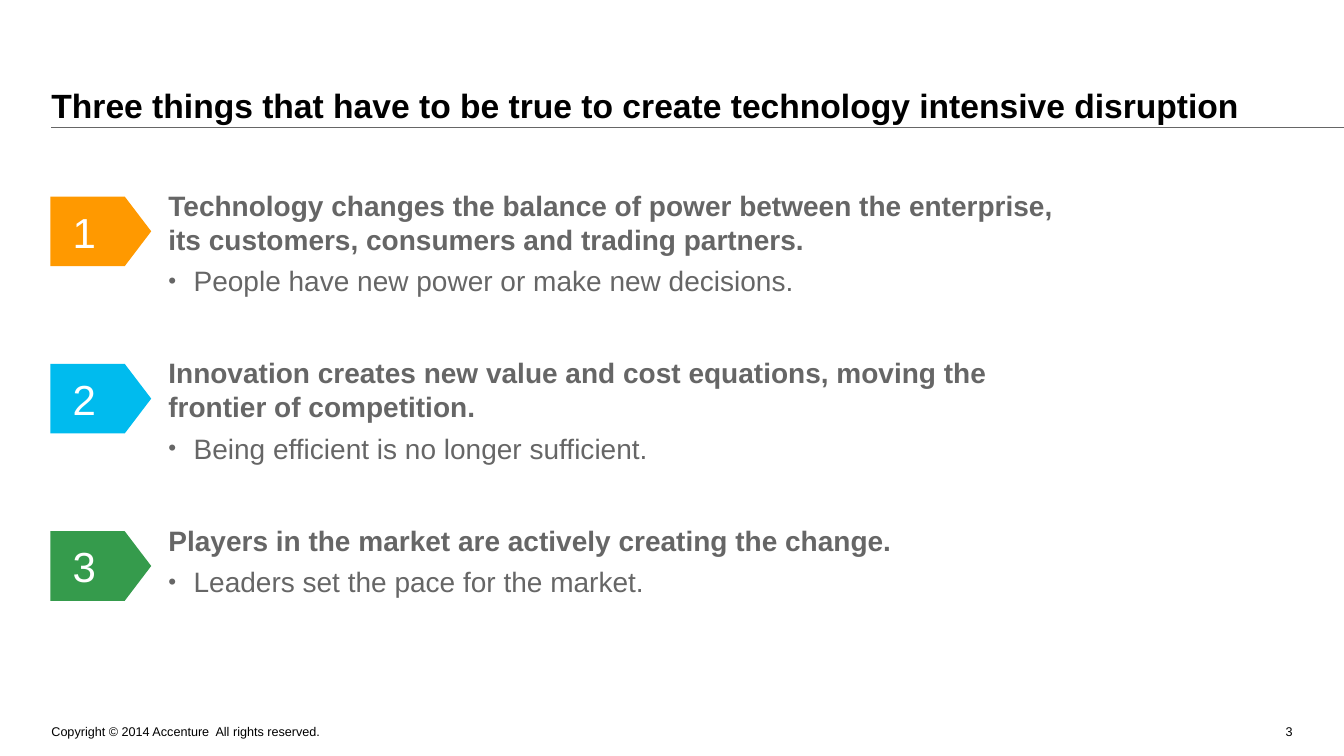
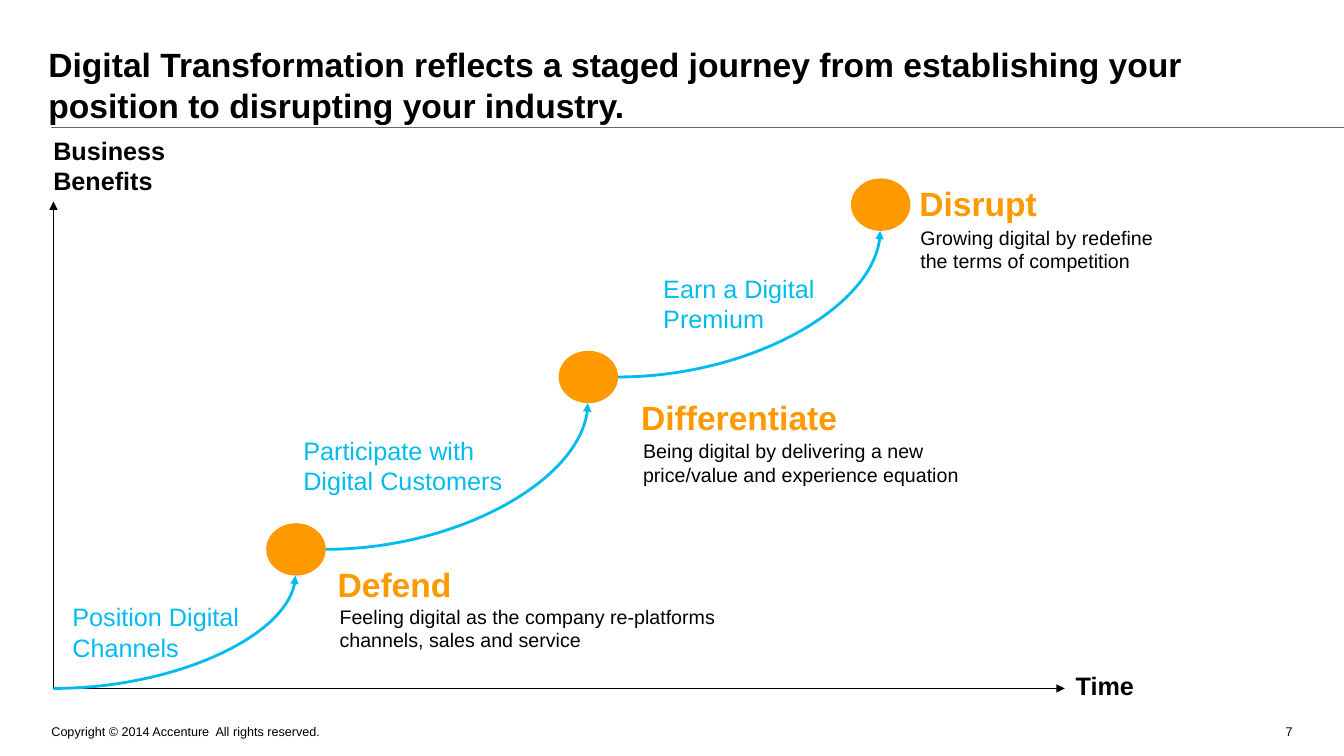
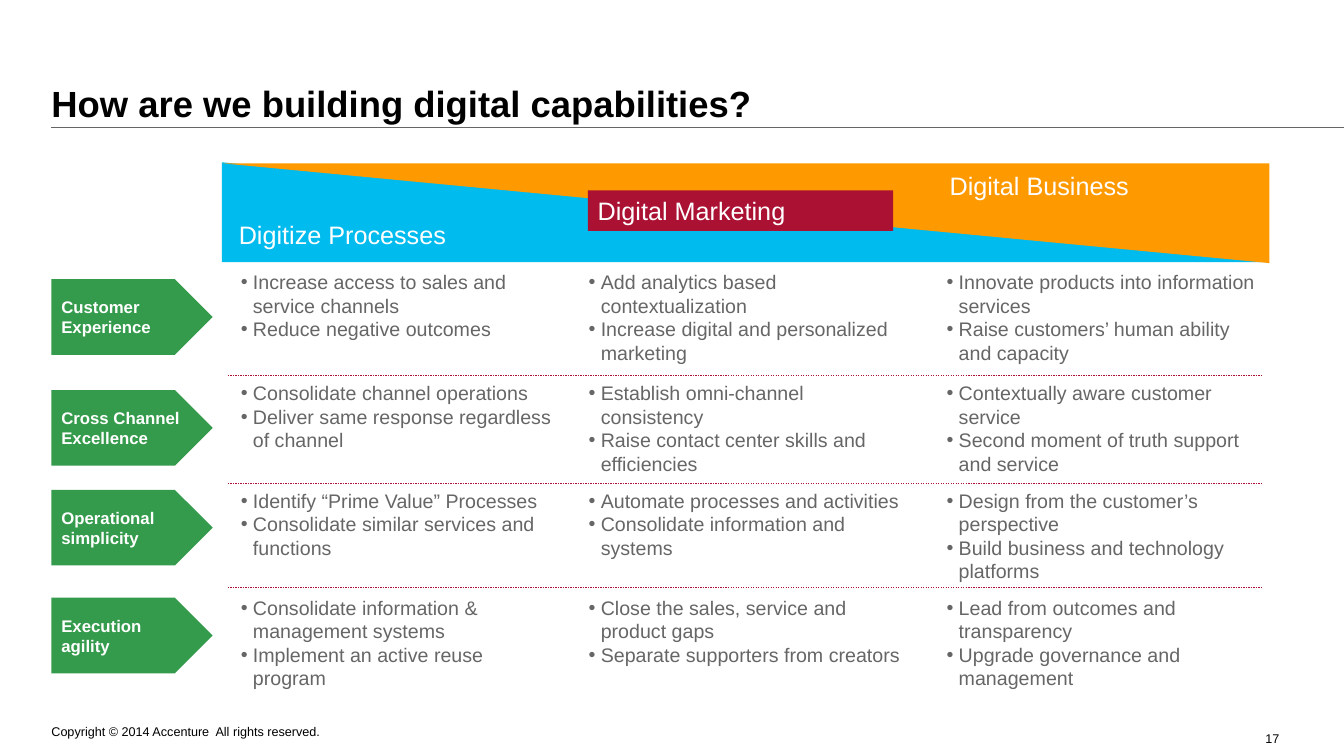
"""Build three slides on digital transformation."""
from lxml import etree
from pptx import Presentation
from pptx.dml.color import RGBColor
from pptx.enum.dml import MSO_LINE
from pptx.enum.shapes import MSO_CONNECTOR, MSO_SHAPE
from pptx.enum.text import MSO_ANCHOR, MSO_AUTO_SIZE, PP_ALIGN
from pptx.oxml.ns import qn
from pptx.util import Pt

PX = 9144
FONT = "Arial"
BLACK, WHITE, GREY = "000000", "FFFFFF", "666666"
ORANGE, BLUE, GREEN, RED = "FF9900", "00BBEE", "359B4C", "AA1133"
LEFT, RIGHT = PP_ALIGN.LEFT, PP_ALIGN.RIGHT
TOP, MIDDLE, BOTTOM = MSO_ANCHOR.TOP, MSO_ANCHOR.MIDDLE, MSO_ANCHOR.BOTTOM
STRAIGHT, CURVE = MSO_CONNECTOR.STRAIGHT, MSO_CONNECTOR.CURVE
PENTAGON, OVAL = MSO_SHAPE.PENTAGON, MSO_SHAPE.OVAL
RECTANGLE, TRIANGLE = MSO_SHAPE.RECTANGLE, MSO_SHAPE.RIGHT_TRIANGLE
DASH = MSO_LINE.DASH
NO_FIT = MSO_AUTO_SIZE.NONE
rgb = RGBColor.from_string


def add_text(s, box, lines, size, color, bold=False, shape=None, fill=None,
             inset=(10, 5, 10, 5), anchor=TOP, align=LEFT, hang=0, lead=False):
    """Add a text box or filled shape; hang sets bullets, lead a bold heading."""
    box = [n * PX for n in box]
    if shape is None:
        sp = s.shapes.add_textbox(*box)
    else:
        sp = s.shapes.add_shape(shape, *box)
        sp.shadow.inherit = False
        sp.fill.solid()
        sp.fill.fore_color.rgb = rgb(fill)
        sp.line.fill.background()
    tf = sp.text_frame
    tf.word_wrap = True
    tf.vertical_anchor = anchor
    tf.margin_left, tf.margin_top, tf.margin_right, tf.margin_bottom = [n * PX for n in inset]
    tf.text = "\n".join(lines)
    for i, p in enumerate(tf.paragraphs):
        heading = lead and i == 0
        p.alignment = align
        if hang and not heading:
            pPr = p._p.get_or_add_pPr()
            pPr.set("marL", str(hang * PX))
            pPr.set("indent", str(-hang * PX))
            if lead:
                etree.SubElement(pPr, qn("a:buSzPct")).set("val", "80000")
            etree.SubElement(pPr, qn("a:buFont")).set("typeface", FONT)
            etree.SubElement(pPr, qn("a:buChar")).set("char", "•")
        if lead and i:
            p.space_before = Pt(5.8)
        for r in p.runs:
            r.font.name = FONT
            r.font.size = Pt(size)
            r.font.bold = bold or heading
            r.font.color.rgb = rgb(color)
    return sp


def add_line(s, ends, color, width, kind=STRAIGHT, arrow=False):
    """Add a straight or curved connector, with an optional arrowhead."""
    c = s.shapes.add_connector(kind, *[n * PX for n in ends])
    c.line.color.rgb = rgb(color)
    c.line.width = Pt(width)
    spPr = c._element.spPr
    if kind == CURVE:
        spPr.find(qn("a:prstGeom")).set("prst", "curvedConnector2")
    if arrow:
        etree.SubElement(c.line._get_or_add_ln(), qn("a:tailEnd")).set("type", "triangle")
    etree.SubElement(spPr, qn("a:effectLst"))
    return c


prs = Presentation()
prs.slide_width, prs.slide_height = 1333 * PX, 750 * PX

frames = [
    ("Three things that have to be true to create technology intensive disruption",
     24, 51, "3", (1202, 717)),
    ("Digital Transformation reflects a staged journey from establishing your "
     "position to disrupting your industry.", 24, 48, "7", (1202, 717)),
    ("How are we building digital capabilities?", 26, 51, "17", (1189, 724)),
]
slides = []
for title, size, left, number, (x, y) in frames:
    s = prs.slides.add_slide(prs.slide_layouts[5])
    sp = s.shapes.title
    sp.left, sp.top, sp.width, sp.height = left * PX, 14 * PX, 1200 * PX, 110 * PX
    tf = sp.text_frame
    tf.text = title
    tf.word_wrap = True
    tf.auto_size = NO_FIT
    tf.vertical_anchor = BOTTOM
    tf.margin_left = tf.margin_right = tf.margin_bottom = 0
    p = tf.paragraphs[0]
    p.alignment = LEFT
    r = p.runs[0]
    r.font.name, r.font.size, r.font.bold = FONT, Pt(size), True
    r.font.color.rgb = rgb(BLACK)
    add_line(s, (51, 127, 1333, 127), GREY, 0.75)
    add_text(s, (51, 717, 592, 18), ["Copyright © 2014 Accenture  All rights reserved."],
             9, BLACK, inset=(0, 0, 0, 0), anchor=MIDDLE)
    add_text(s, (x, y, 80, 18), [number], 9, BLACK,
             inset=(0, 0, 0, 0), anchor=MIDDLE, align=RIGHT)
    slides.append(s)
conditions, journey, capabilities = slides

points = [
    (ORANGE, "Technology changes the balance of power between the enterprise, "
     "its customers, consumers and trading partners.",
     "People have new power or make new decisions."),
    (BLUE, "Innovation creates new value and cost equations, moving the frontier "
     "of competition.", "Being efficient is no longer sufficient."),
    (GREEN, "Players in the market are actively creating the change.",
     "Leaders set the pace for the market."),
]
for i, (color, heading, detail) in enumerate(points):
    y = 195 + 166 * i
    sp = add_text(conditions, (50, y, 100, 69), [str(i + 1)], 30, WHITE,
                  shape=PENTAGON, fill=color, inset=(22, 5, 0, 5), anchor=MIDDLE)
    sp.adjustments[0] = 0.38
    add_text(conditions, (167, y - 13, 891, 120), [heading, detail], 20, GREY,
             inset=(0, 5, 0, 0), hang=25, lead=True)

for ends in ((53, 683, 53, 200), (53, 683, 1056, 683)):
    add_line(journey, ends, BLACK, 1, arrow=True)
add_text(journey, (43, 129, 201, 71), ["Business Benefits"], 18, BLACK, bold=True)
add_text(journey, (1057, 660, 100, 40), ["Time"], 18, BLACK, bold=True)

stages = [
    ("Defend", (325, 555), "Feeling digital as the company re-platforms channels, "
     "sales and service", (327, 595, 413, 57),
     "Position Digital Channels", (62, 592, 193, 71)),
    ("Differentiate", (626, 389), "Being digital by delivering a new price/value and "
     "experience equation", (628, 431, 354, 57),
     "Participate with Digital Customers", (291, 427, 258, 71)),
    ("Disrupt", (902, 177), "Growing digital by redefine the terms of competition",
     (903, 219, 261, 57), "Earn a Digital Premium", (648, 266, 200, 71)),
]
start = (53, 683)
for i, (name, (x, y), note, note_box, step, step_box) in enumerate(stages):
    left, top = 264 + 290 * i, 519 - 171 * i
    add_text(journey, (left, top, 59, 52), [], 18, WHITE, shape=OVAL, fill=ORANGE)
    add_line(journey, (*start, left + 29, top + 52), BLUE, 2, kind=CURVE, arrow=True)
    start = (left + 59, top + 26)
    add_text(journey, (x, y, 260, 50), [name], 24, ORANGE, bold=True)
    add_text(journey, note_box, [note], 14, BLACK)
    add_text(journey, step_box, [step], 18, BLUE)

for y, color, turn in ((161, BLUE, 0), (162, ORANGE, 180)):
    sp = add_text(capabilities, (220, y, 1039, 99), [], 18, WHITE, shape=TRIANGLE, fill=color)
    sp.rotation = turn
add_text(capabilities, (227, 213, 260, 40), ["Digitize Processes"], 18, WHITE)
add_text(capabilities, (583, 189, 303, 40), ["Digital Marketing"], 18, WHITE,
         shape=RECTANGLE, fill=RED, anchor=MIDDLE)
add_text(capabilities, (932, 164, 260, 40), ["Digital Business"], 18, WHITE)

rows = [
    ("Customer Experience", 277, 263, [
        ["Increase access to sales and service channels", "Reduce negative outcomes"],
        ["Add analytics based contextualization",
         "Increase digital and personalized marketing"],
        ["Innovate products into information services",
         "Raise customers’ human ability and capacity"]]),
    ("Cross Channel Excellence", 387, 373, [
        ["Consolidate channel operations", "Deliver same response regardless of channel"],
        ["Establish omni-channel consistency",
         "Raise contact center skills and efficiencies"],
        ["Contextually aware customer service",
         "Second moment of truth support and service"]]),
    ("Operational simplicity", 486, 480, [
        ["Identify “Prime Value” Processes", "Consolidate similar services and functions"],
        ["Automate processes and activities", "Consolidate information and systems"],
        ["Design from the customer’s perspective",
         "Build business and technology platforms"]]),
    ("Execution agility", 593, 586, [
        ["Consolidate information & management systems",
         "Implement an active reuse program"],
        ["Close the sales, service and product gaps", "Separate supporters from creators"],
        ["Lead from outcomes and transparency", "Upgrade governance and management"]]),
]
for label, label_top, top, cells in rows:
    add_text(capabilities, (51, label_top, 160, 75), [label], 12, WHITE, bold=True,
             shape=PENTAGON, fill=GREEN, anchor=MIDDLE)
    for x, bullets in zip((229, 574, 929), cells):
        add_text(capabilities, (x, top, 331, 103), bullets, 14, GREY, hang=12)
for y in (372, 479, 583):
    c = add_line(capabilities, (226, y, 1251, y), RED, 0.25)
    c.line.dash_style = DASH

prs.save("out.pptx")
